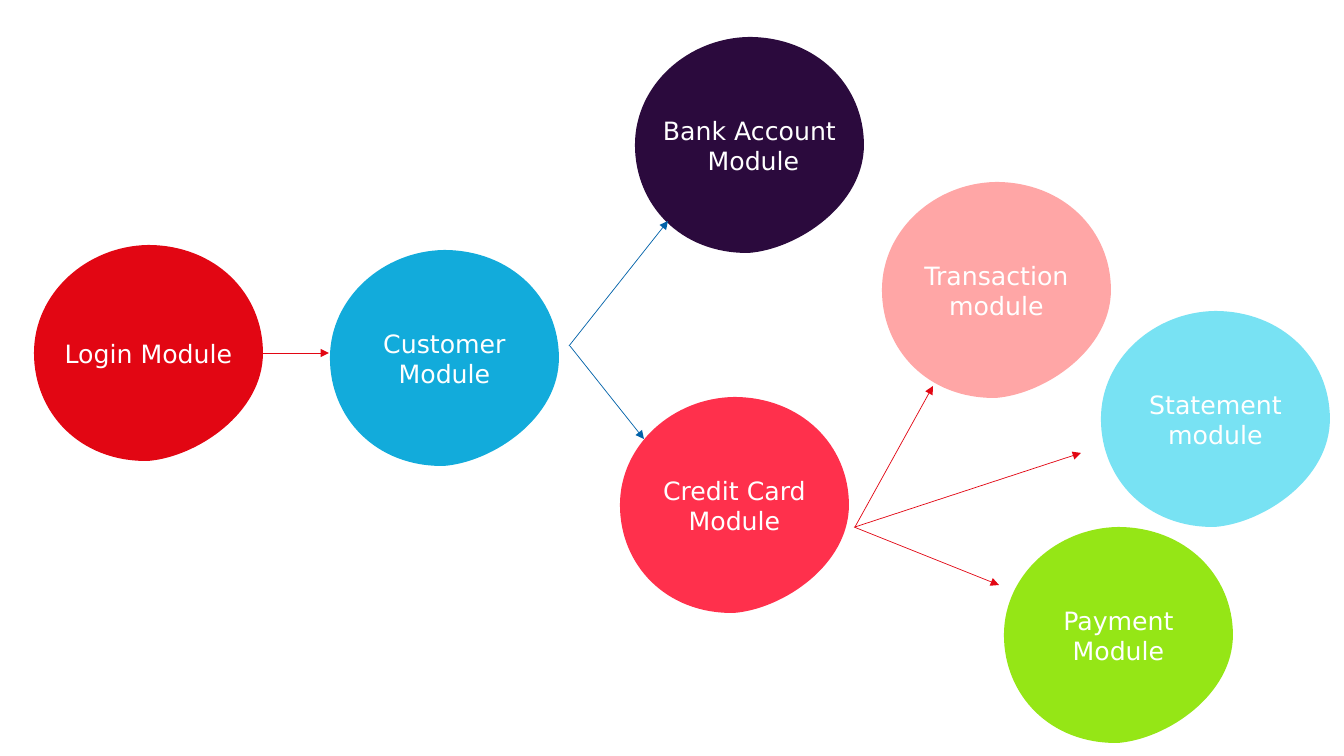
from lxml.etree import SubElement
from pptx import Presentation
from pptx.dml.color import RGBColor
from pptx.enum.shapes import MSO_CONNECTOR
from pptx.enum.text import MSO_ANCHOR, PP_ALIGN
from pptx.oxml.ns import qn
from pptx.util import Pt

SLIDE_SIZE = (1344, 756)
EMU_PER_PX = 914400 / 100.8

# text, left, top, fill; back to front
MODULES = [
    ("Payment Module", 1004, 527, "95E616"),
    ("Credit Card Module", 620, 397, "FF304C"),
    ("Customer Module", 330, 250, "12ABDB"),
    ("Login Module", 34, 245, "E20613"),
    ("Bank Account\n Module", 635, 37, "2B0A3D"),
    ("Statement module", 1101, 311, "78E2F3"),
    ("Transaction module", 882, 182, "FFA6A6"),
]

# from, to, colour
ARROWS = [
    ((263, 353), (329, 353), "E20613"),
    ((569, 346), (668, 221), "0062A9"),
    ((570, 346), (644, 439), "0062A9"),
    ((854, 527), (999, 585), "E20613"),
    ((855, 527), (1081, 453), "E20613"),
    ((855, 527), (933, 386), "E20613"),
]

# Each curve is two control points and an end point
BLOB_START = (0, 108)
BLOB_CURVES = [
    [(0, 48), (53, 1), (114, 0)],
    [(181, 0), (229, 48), (229, 108)],
    [(229, 168), (163, 212), (114, 216)],
    [(46, 217), (0, 168), (0, 108)],
]

TEXT_FRAME = {"word_wrap": True, "vertical_anchor": MSO_ANCHOR.MIDDLE}
FONT = {"name": "DejaVu Sans", "size": Pt(18)}


def emu(px):
    return round(px * EMU_PER_PX)


def rgb(colour):
    return RGBColor.from_string(colour)


def apply(target, formats):
    for name, value in formats.items():
        setattr(target, name, value)


def bend(blob):
    """Turn every three straight segments of the outline into one Bezier curve."""
    outline = blob.element.xpath(".//a:path")[0]
    segments = outline.findall(qn("a:lnTo"))
    for first in range(0, len(segments), 3):
        curve = SubElement(outline, qn("a:cubicBezTo"))
        segments[first].addprevious(curve)
        for segment in segments[first:first + 3]:
            curve.append(segment[0])
            outline.remove(segment)


def add_module(shapes, label, left, top, fill):
    builder = shapes.build_freeform(*BLOB_START, scale=EMU_PER_PX)
    builder.add_line_segments([point for curve in BLOB_CURVES for point in curve])
    blob = builder.convert_to_shape(emu(left), emu(top))
    bend(blob)
    blob.shadow.inherit = False
    blob.fill.solid()
    blob.fill.fore_color.rgb = rgb(fill)
    blob.line.fill.background()
    apply(blob.text_frame, TEXT_FRAME)
    blob.text_frame.text = label
    for paragraph in blob.text_frame.paragraphs:
        paragraph.alignment = PP_ALIGN.CENTER
        for run in paragraph.runs:
            apply(run.font, FONT)
            run.font.color.rgb = rgb("FFFFFF")


def add_arrow(shapes, start, end, colour):
    ends = [emu(px) for px in start + end]
    arrow = shapes.add_connector(MSO_CONNECTOR.STRAIGHT, *ends)
    arrow.line.color.rgb = rgb(colour)
    arrow.line.width = Pt(0.5)
    properties = arrow.element.spPr
    SubElement(properties.find(qn("a:ln")), qn("a:tailEnd"), type="triangle")
    SubElement(properties, qn("a:effectLst"))


def main():
    deck = Presentation()
    deck.slide_width, deck.slide_height = map(emu, SLIDE_SIZE)
    shapes = deck.slides.add_slide(deck.slide_layouts[6]).shapes
    for module in MODULES:
        add_module(shapes, *module)
    for arrow in ARROWS:
        add_arrow(shapes, *arrow)
    deck.save("out.pptx")


if __name__ == "__main__":
    main()
